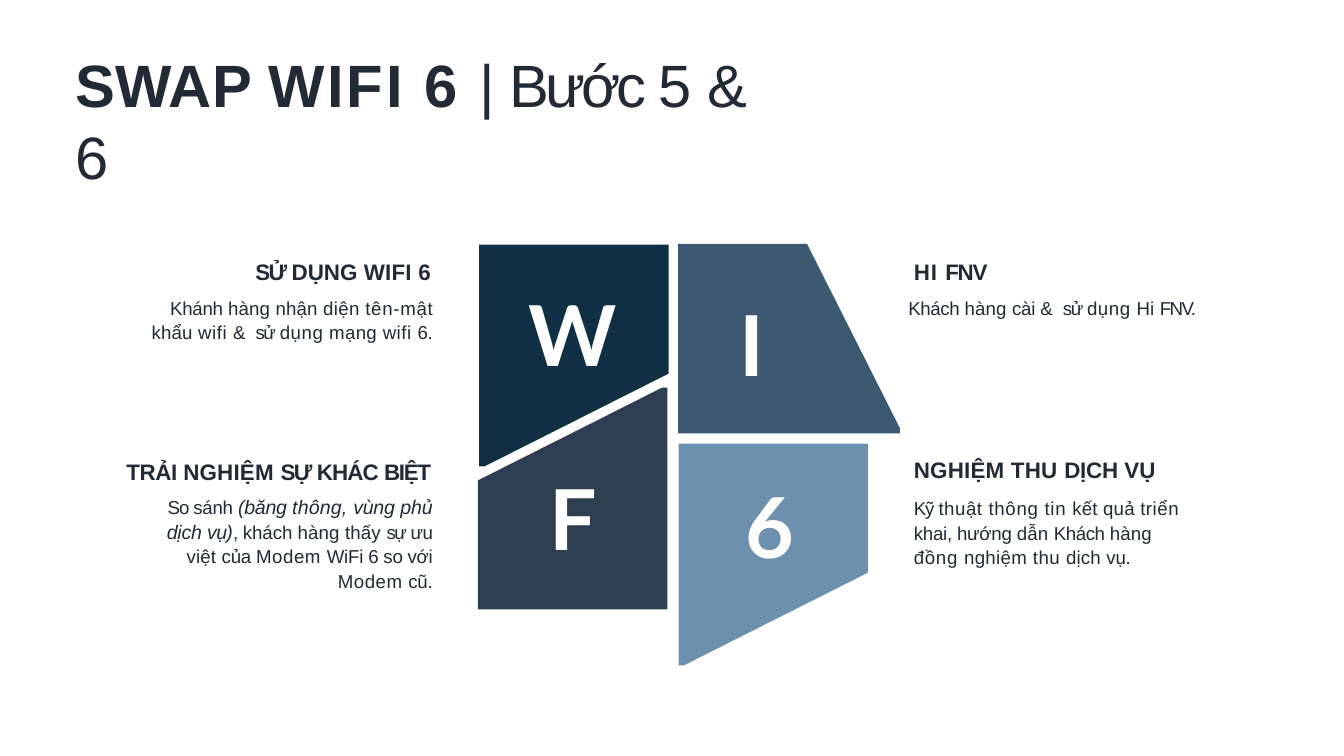
from dataclasses import dataclass, field
from typing import Any, NamedTuple

from pptx import Presentation
from pptx.dml.color import RGBColor
from pptx.enum.text import MSO_ANCHOR, MSO_AUTO_SIZE, PP_ALIGN
from pptx.util import Pt

LEFT, RIGHT = PP_ALIGN.LEFT, PP_ALIGN.RIGHT
TOP = MSO_ANCHOR.TOP
GROW = MSO_AUTO_SIZE.SHAPE_TO_FIT_TEXT

INK = RGBColor(0x21, 0x2A, 0x35)
WHITE = RGBColor(0xFF, 0xFF, 0xFF)
NAVY = RGBColor(0x0F, 0x2F, 0x45)
SLATE = RGBColor(0x2C, 0x3E, 0x50)
STEEL = RGBColor(0x3D, 0x58, 0x71)
SKY = RGBColor(0x6C, 0x90, 0xAE)

SLIDE_WIDTH, SLIDE_HEIGHT = Pt(720), Pt(405)
COLUMN, ROW = SLIDE_WIDTH / 100, SLIDE_HEIGHT / 56.25

TITLE = {"name": "Arial", "size": Pt(32), "bold": True, "italic": False}
SUBTITLE = TITLE | {"bold": False}
HEADING = TITLE | {"size": Pt(12)}
BODY = HEADING | {"size": Pt(10), "bold": False}
ASIDE = BODY | {"size": Pt(10.5), "italic": True}
LETTER = TITLE | {"name": "Lato", "size": Pt(45)}


class Piece(NamedTuple):
    text: str
    tracking: float
    style: dict[str, Any] | None = None


@dataclass
class Line:
    style: dict[str, Any]
    pieces: list[Piece]
    indent: float = 0.1
    layout: dict[str, Any] = field(default_factory=dict)


@dataclass
class TextBlock:
    column: float
    row: float
    columns: float
    rows: float
    lines: list[Line]
    inset: float = 0.1
    color: RGBColor = INK


@dataclass
class Tile:
    column: float
    row: float
    color: RGBColor
    half_turn: bool = False
    quarter_turn: bool = False


def pieces(*pairs: tuple) -> list[Piece]:
    return [Piece(*pair) for pair in pairs]


def body(*pairs: tuple, indent: float = 0.1, before: float = 6.2,
         align: Any = LEFT, spacing: float = 1.0) -> Line:
    return Line(BODY, pieces(*pairs), indent, {
        "space_before": Pt(before), "alignment": align, "line_spacing": spacing})


def apply(target: Any, values: dict[str, Any]) -> None:
    for attribute, value in values.items():
        setattr(target, attribute, value)


def write_block(shape: Any, block: TextBlock) -> None:
    apply(shape, {
        "left": round(block.column * COLUMN), "top": round(block.row * ROW),
        "width": round(block.columns * COLUMN), "height": round(block.rows * ROW)})
    frame = shape.text_frame
    apply(frame, {
        "word_wrap": True, "auto_size": GROW, "vertical_anchor": TOP,
        "margin_left": 0, "margin_right": 0, "margin_bottom": 0,
        "margin_top": round(block.inset * ROW)})
    for index, line in enumerate(block.lines):
        paragraph = frame.add_paragraph() if index else frame.paragraphs[0]
        properties = paragraph._p.get_or_add_pPr()
        properties.set("marL", str(round(line.indent * COLUMN)))
        properties.set("indent", "0")
        apply(paragraph, {"alignment": LEFT, "space_before": Pt(0)} | line.layout)
        for piece in line.pieces:
            run = paragraph.add_run()
            run.text = piece.text
            apply(run.font, piece.style or line.style)
            run.font.color.rgb = block.color
            run._r.get_or_add_rPr().set("spc", str(round(piece.tracking * 100)))


def draw_tile(shapes: Any, tile: Tile) -> None:
    width, height = 14.1, 16.5
    outline = [(width, 0), (0, 0), (0, height), (0.4, height), (width, 9.6)]
    if tile.half_turn:
        outline = [(width - x, height - y) for x, y in outline]
    if tile.quarter_turn:
        outline = [(y, width - x) for x, y in outline]
    corners = [(round((tile.column + x) * COLUMN), round((tile.row + y) * ROW))
               for x, y in outline]
    builder = shapes.build_freeform(*corners[0])
    builder.add_line_segments(corners[1:], close=True)
    shape = builder.convert_to_shape()
    shape.shadow.inherit = False
    shape.fill.solid()
    shape.fill.fore_color.rgb = tile.color
    shape.line.fill.background()


HEADLINE = TextBlock(5.5, 3.45, 54.4, 5.6, [Line(TITLE, pieces(
    ("SWAP ", 0.2), ("WIFI 6 ", 1.4), ("| ", -1.1, SUBTITLE), ("Bước ", -2.2, SUBTITLE),
    ("5 ", -0.6, SUBTITLE), ("& ", 4.2, SUBTITLE), ("6", -0.6, SUBTITLE)))])

STEPS = [
    TextBlock(11, 18, 21.2, 7.7, [
        Line(HEADING, pieces(("SỬ ", -0.9), ("DỤNG ", 0), ("WIFI ", 0.1), ("6", 0.2)), 8),
        body(("Khánh ", -0.1), ("hàng nhận ", 0.1), ("diện ", 0.2), ("tên-mật", 0.4),
             indent=0, align=RIGHT),
        body(("khẩu ", 0.1), ("wifi ", 0.3), ("& ", 1.3), ("sử ", -0.7), ("dụng ", 0.3),
             ("mạng ", 0.2), ("wifi ", 0.3), ("6.", -0.2),
             indent=0, before=1.2, align=RIGHT)], inset=1.2),
    TextBlock(9.3, 33.05, 22.9, 11.2, [
        Line(HEADING, pieces(("TRẢI ", -0.2), ("NGHIỆM ", 0.1), ("SỰ ", -0.9),
                             ("KHÁC ", -0.5), ("BIỆT", -0.7))),
        body(("So ", -0.6), ("sánh ", -0.1), ("(băng ", -0.1, ASIDE),
             ("thông, ", 0.1, ASIDE), ("vùng", -0.1, ASIDE), (" phủ ", 0, ASIDE),
             ("dịch ", -0.1, ASIDE), ("vụ)", -0.3, ASIDE), (", ", -0.3), ("khách ", 0),
             ("hàng thấy ", 0.1), ("sự ", -0.8), ("ưu ", -0.1), ("việt ", 0.1),
             ("của ", -0.1), ("Modem ", 0.3), ("WiFi ", -0.1), ("6 ", -0.2),
             ("so với", -0.1), indent=2.6, before=4.8, align=RIGHT, spacing=1.07),
        body(("Modem ", 0.3), ("cũ.", -0.1), indent=0, before=1.2, align=RIGHT)],
        inset=1),
    TextBlock(67.5, 18, 21.7, 5.8, [
        Line(HEADING, pieces(("HI ", 0.5), ("FNV", -0.7)), 0.5),
        body(("Khách ", -0.2), ("hàng ", 0.1), ("cài ", -0.1), ("& ", 1.3), ("sử ", -0.7),
             ("dụng ", 0.3), ("Hi ", 0.1), ("FNV.", -0.8))], inset=1.2),
    TextBlock(67.9, 33.85, 20.3, 8.6, [
        Line(HEADING, pieces(("NGHIỆM THU ", 0.1), ("DỊCH ", -0.1), ("VỤ", 0))),
        body(("Kỹ ", -0.6), ("thuật ", 0.3), ("thông tin ", 0.4), ("kết quả ", 0.1),
             ("triển ", 0.3), ("khai, hướng ", -0.1), ("dẫn ", 0.1), ("Khách ", -0.2),
             ("hàng", 0.1), spacing=1.1),
        body(("đồng ", 0.4), ("nghiệm ", 0.2), ("thu ", 0.3), ("dịch ", 0.1),
             ("vụ.", -0.1), before=1.2)]),
]

LEFT_TILES = [Tile(35.65, 18.2, NAVY), Tile(35.55, 28.85, SLATE, half_turn=True)]
RIGHT_TILES = [Tile(50.5, 33, SKY), Tile(50.45, 18.15, STEEL, quarter_turn=True)]

LEFT_LETTERS = TextBlock(39.2, 20.9, 7, 21.5, [
    Line(LETTER, pieces(("W", 0.2))),
    Line(LETTER, pieces(("F", -0.5)), 1.7, {"space_before": Pt(44.6)})], color=WHITE)
RIGHT_LETTERS = TextBlock(54.9, 21.7, 4.3, 21.2, [
    Line(LETTER, pieces(("I", 0.3))),
    Line(LETTER, pieces(("6", -0.1)), 0.6, {"space_before": Pt(43)})], color=WHITE)


def add_block(shapes: Any, block: TextBlock) -> None:
    write_block(shapes.add_textbox(0, 0, 0, 0), block)


def main() -> None:
    deck = Presentation()
    apply(deck, {"slide_width": SLIDE_WIDTH, "slide_height": SLIDE_HEIGHT})
    shapes = deck.slides.add_slide(deck.slide_layouts.get_by_name("Title Only")).shapes
    write_block(shapes.title, HEADLINE)
    for step in STEPS:
        add_block(shapes, step)
    left_half = shapes.add_group_shape().shapes
    for tile in LEFT_TILES:
        draw_tile(left_half, tile)
    add_block(shapes, LEFT_LETTERS)
    for tile in RIGHT_TILES:
        draw_tile(shapes, tile)
    add_block(shapes, RIGHT_LETTERS)
    deck.save("out.pptx")


if __name__ == "__main__":
    main()
